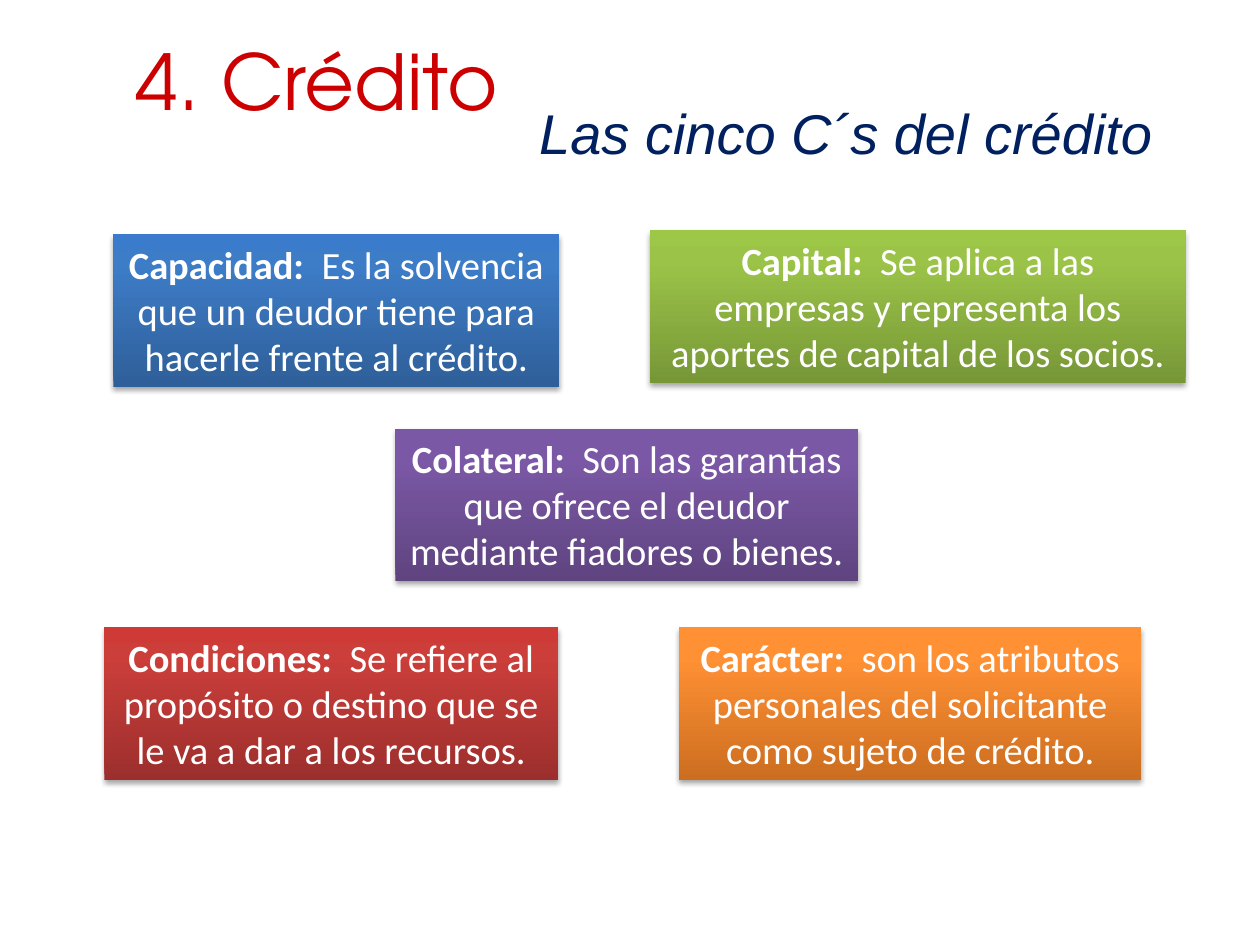
from copy import deepcopy

from lxml.etree import SubElement
from pptx import Presentation
from pptx.dml.color import RGBColor
from pptx.enum.shapes import MSO_SHAPE
from pptx.enum.text import MSO_ANCHOR, MSO_AUTO_SIZE, PP_ALIGN
from pptx.oxml.ns import qn
from pptx.util import Pt

WHITE = RGBColor(0xFF, 0xFF, 0xFF)
BLACK = RGBColor(0x00, 0x00, 0x00)
TITLE_RED = RGBColor(0xCC, 0x00, 0x00)
SUBTITLE_NAVY = RGBColor(0x00, 0x20, 0x60)

# Gradients run from the bottom edge to the top edge.
GRADIENT_POSITIONS = (0, 0.8, 1)
BLUE = (RGBColor(0x2F, 0x5F, 0x99), RGBColor(0x3D, 0x7C, 0xC7), RGBColor(0x3A, 0x7C, 0xCB))
GREEN = (RGBColor(0x77, 0x97, 0x37), RGBColor(0x9B, 0xC3, 0x48), RGBColor(0x9D, 0xC7, 0x46))
RED = (RGBColor(0x9C, 0x2F, 0x2D), RGBColor(0xCB, 0x3E, 0x3A), RGBColor(0xCE, 0x3B, 0x37))
PURPLE = (RGBColor(0x5F, 0x44, 0x80), RGBColor(0x7B, 0x58, 0xA6), RGBColor(0x7C, 0x57, 0xA8))
ORANGE = (RGBColor(0xCC, 0x6E, 0x20), RGBColor(0xFF, 0x90, 0x34), RGBColor(0xFF, 0x91, 0x36))

CARD_HEIGHT = 87.1
BOTTOM_ROW = 358.5

# term, definition, left, top, width, gradient
CARDS = (
    ("Capacidad:", "Es la solvencia que un deudor tiene para hacerle frente al crédito.",
     64.8, 133.9, 254.9, BLUE),
    ("Capital:", "Se aplica a las empresas y representa los aportes de capital de los socios.",
     371.5, 131.7, 306, GREEN),
    ("Condiciones:", "Se refiere al propósito o destino que se le va a dar a los recursos.",
     59.7, BOTTOM_ROW, 259.2, RED),
    ("Colateral:", "Son las garantías que ofrece el deudor mediante fiadores o bienes.",
     226, 245, 264.3, PURPLE),
    ("Carácter:", "son los atributos personales del solicitante como sujeto de crédito.",
     388, BOTTOM_ROW, 264.3, ORANGE),
)


def fill_with_gradient(shape, colors):
    shape.fill.gradient()
    shape.fill.gradient_angle = 90
    stop_list = shape._element.spPr.find(qn("a:gradFill")).find(qn("a:gsLst"))
    stop_list.append(deepcopy(stop_list[-1]))
    for stop, position, color in zip(shape.fill.gradient_stops, GRADIENT_POSITIONS, colors):
        stop.position = position
        stop.color.rgb = color


def add_soft_shadow(shape):
    shape.shadow.inherit = False
    effects = shape._element.spPr.find(qn("a:effectLst"))
    shadow = SubElement(effects, qn("a:outerShdw"), blurRad=str(Pt(3.1)), dist=str(Pt(1.8)),
                        dir="5400000", rotWithShape="0")
    color = SubElement(shadow, qn("a:srgbClr"), val=str(BLACK))
    SubElement(color, qn("a:alpha"), val="35000")


def add_card(slide, term, definition, left, top, width, colors):
    card = slide.shapes.add_shape(MSO_SHAPE.RECTANGLE, Pt(left), Pt(top),
                                  Pt(width), Pt(CARD_HEIGHT))
    fill_with_gradient(card, colors)
    card.line.fill.background()
    add_soft_shadow(card)

    frame = card.text_frame
    frame.word_wrap = True
    frame.auto_size = MSO_AUTO_SIZE.SHAPE_TO_FIT_TEXT
    frame.vertical_anchor = MSO_ANCHOR.TOP
    paragraph = frame.paragraphs[0]
    paragraph.alignment = PP_ALIGN.CENTER
    paragraph.font.name = "Calibri"
    paragraph.font.size = Pt(22)
    paragraph.font.color.rgb = WHITE
    term_run = paragraph.add_run()
    term_run.text = f"{term}  "
    term_run.font.bold = True
    paragraph.add_run().text = definition


def add_heading(slide, text, left, top, width, height, font_name, size, color,
                alignment=PP_ALIGN.LEFT, italic=False):
    heading = slide.shapes.add_textbox(Pt(left), Pt(top), Pt(width), Pt(height))
    frame = heading.text_frame
    frame.word_wrap = True
    frame.vertical_anchor = MSO_ANCHOR.MIDDLE
    paragraph = frame.paragraphs[0]
    paragraph.text = text
    paragraph.alignment = alignment
    paragraph.font.name = font_name
    paragraph.font.size = Pt(size)
    paragraph.font.italic = italic
    paragraph.font.color.rgb = color


def main():
    presentation = Presentation()
    presentation.slide_width = Pt(720)
    presentation.slide_height = Pt(540)
    slide = presentation.slides.add_slide(presentation.slide_layouts[6])

    add_heading(slide, "4. Crédito", 70.6, 15.1, 241.9, 61.2,
                "TeX Gyre Adventor", 44, TITLE_RED)
    add_heading(slide, "Las cinco C´s del crédito", 252, 54.7, 414, 41.8,
                "Arial", 32, SUBTITLE_NAVY, PP_ALIGN.RIGHT, italic=True)
    for card in CARDS:
        add_card(slide, *card)

    presentation.save("out.pptx")


if __name__ == "__main__":
    main()
